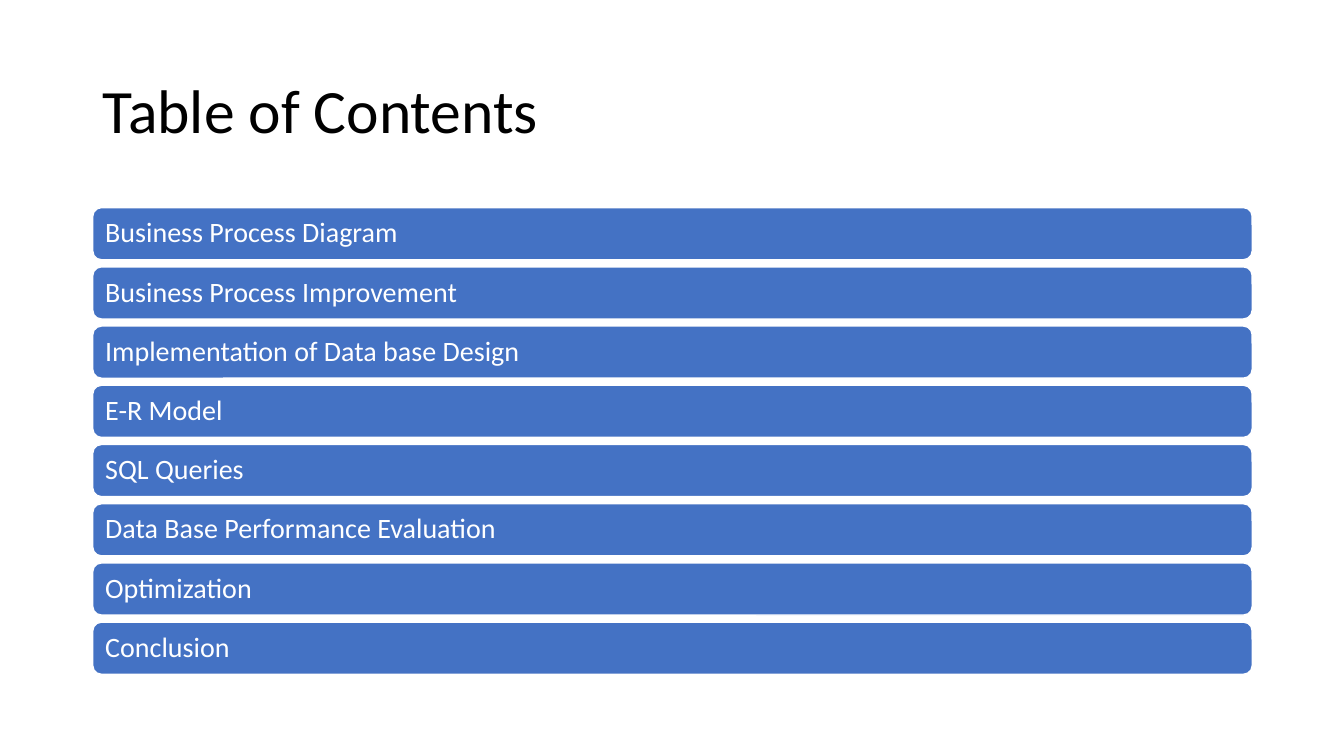
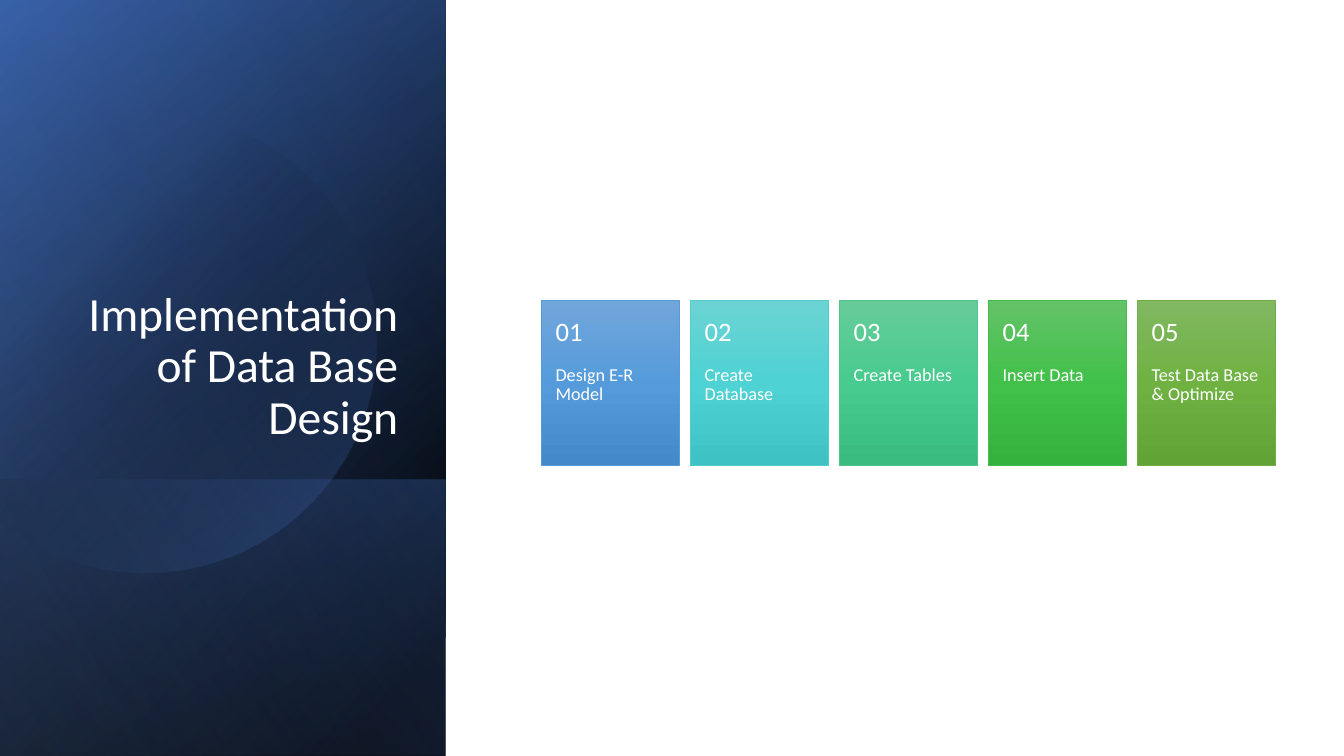
from dataclasses import dataclass
from math import acos, cos, sin

from lxml.etree import SubElement
from pptx import Presentation
from pptx.dml.color import RGBColor
from pptx.enum.shapes import MSO_SHAPE
from pptx.enum.text import MSO_ANCHOR, MSO_AUTO_SIZE, PP_ALIGN
from pptx.oxml.ns import qn
from pptx.util import Pt

PX = 9144  # EMU; 100 px to the inch
SLIDE_W, SLIDE_H = 1333, 750


@dataclass(frozen=True)
class Theme:
    font: str = "Calibri"
    ink: str = "000000"
    paper: str = "FFFFFF"
    accent: str = "4472C4"
    title_size: int = 44
    side_title_size: int = 34
    bar_size: int = 20
    number_size: int = 19
    label_size: int = 13
    line_spacing: float = 0.9


THEME = Theme()

CONTENTS_TITLE = "Table of Contents"
CONTENTS = [
    "Business Process Diagram",
    "Business Process Improvement",
    "Implementation of Data base Design",
    "E-R Model",
    "SQL Queries",
    "Data Base Performance Evaluation",
    "Optimization",
    "Conclusion",
]

STEPS_TITLE = "Implementation of Data Base Design"
STEPS = [  # label, gradient from top to bottom, border
    ("Design E-R Model", ("71A6DB", "559BDB", "448ACA"), "5B9BD5"),
    ("Create Database", ("6CD3D3", "4ED2D3", "3EC2C3"), "54CCCD"),
    ("Create Tables", ("67CC9A", "47CB8E", "39BB7F"), "4DC58D"),
    ("Insert Data", ("63C368", "42C14A", "34B23D"), "48BB4F"),
    ("Test Data Base & Optimize", ("81B861", "6FB242", "62A336"), "70AD47"),
]

# Gradient stops: position %, colour, opacity %
PANEL_W = 442
BAND_TOP = 476
PANEL_LAYERS = [  # top, clockwise angle, stops
    (0, 220, [(8, THEME.ink, 100), (100, "2F5597", 100)]),
    (0, 240, [(0, THEME.ink, 0), (99, THEME.accent, 46)]),
    (BAND_TOP, 140, [(2, THEME.accent, 29), (100, THEME.ink, 30)]),
]
PANEL_SHEEN = (0, 150, [(0, THEME.ink, 0), (99, "8FAADC", 11)])
DISC = (144, 339, 229)  # centre x, centre y, radius
DISC_STOPS = [(29, THEME.ink, 0), (100, THEME.accent, 43)]


def px(*values):
    return [round(v * PX) for v in values]


def spread(start, end, count, gap):
    """Return the start of each of count equal cells, and their size."""
    size = (end - start - gap * (count - 1)) / count
    return [start + i * (size + gap) for i in range(count)], size


def set_margins(tf, left, top, right, bottom):
    tf.margin_left, tf.margin_top, tf.margin_right, tf.margin_bottom = px(
        left, top, right, bottom)


def style(p, size, color, align=PP_ALIGN.LEFT):
    p.alignment = align
    p.line_spacing = THEME.line_spacing
    for r in p.runs:
        r.font.name = THEME.font
        r.font.size = Pt(size)
        r.font.color.rgb = RGBColor.from_string(color)


def set_line(sp, color=None, width=1):
    if color is None:
        sp.line.fill.background()
    else:
        sp.line.color.rgb = RGBColor.from_string(color)
        sp.line.width = Pt(width)


def set_gradient(sp, angle, stops):
    """Fill with a linear gradient; the angle runs clockwise from the right."""
    sp.fill.gradient()
    sp.fill.gradient_angle = (360 - angle) % 360
    gs_list = sp.element.spPr.find(qn("a:gradFill")).find(qn("a:gsLst"))
    for gs in list(gs_list):
        gs_list.remove(gs)
    for position, color, opacity in stops:
        gs = SubElement(gs_list, qn("a:gs"), pos=str(position * 1000))
        clr = SubElement(gs, qn("a:srgbClr"), val=color)
        if opacity < 100:
            SubElement(clr, qn("a:alpha"), val=str(opacity * 1000))


def add_box(slide, kind, *box):
    sp = slide.shapes.add_shape(kind, *px(*box))
    sp.shadow.inherit = False
    return sp


def add_slide(prs, title, box, size, color, anchor, align=PP_ALIGN.LEFT):
    slide = prs.slides.add_slide(prs.slide_layouts[5])
    sp = slide.shapes.title
    sp.left, sp.top, sp.width, sp.height = px(*box)
    tf = sp.text_frame
    tf.text = title
    tf.word_wrap = True
    tf.auto_size = MSO_AUTO_SIZE.NONE
    tf.vertical_anchor = anchor
    style(tf.paragraphs[0], size, color, align)
    return slide


def add_contents_slide(prs):
    slide = add_slide(prs, CONTENTS_TITLE, (92, 40, 1150, 145),
                      THEME.title_size, THEME.ink, MSO_ANCHOR.MIDDLE)
    tops, height = spread(206, 669, len(CONTENTS), gap=7)
    for top, text in zip(tops, CONTENTS):
        bar = add_box(slide, MSO_SHAPE.ROUNDED_RECTANGLE, 92, top, 1150, height)
        bar.fill.solid()
        bar.fill.fore_color.rgb = RGBColor.from_string(THEME.accent)
        set_line(bar, THEME.paper)
        tf = bar.text_frame
        tf.text = text
        tf.vertical_anchor = MSO_ANCHOR.MIDDLE
        set_margins(tf, 10, 8, 10, 8)
        style(tf.paragraphs[0], THEME.bar_size, THEME.paper)


def add_panel_layer(slide, top, angle, stops):
    layer = add_box(slide, MSO_SHAPE.RECTANGLE, 0, top, PANEL_W, SLIDE_H - top)
    set_gradient(layer, angle, stops)
    set_line(layer)


def add_disc(slide):
    """Draw the circle, cut off at the left edge of the slide."""
    cx, cy, radius = DISC
    reach = acos(-cx / radius)
    count = 90
    angles = [reach * (2 * i / count - 1) for i in range(count + 1)]
    points = [px(cx + radius * cos(a), cy + radius * sin(a)) for a in angles]
    builder = slide.shapes.build_freeform(*points[0])
    builder.add_line_segments(points[1:], close=True)
    disc = builder.convert_to_shape()
    disc.shadow.inherit = False
    set_gradient(disc, 45, DISC_STOPS)
    set_line(disc)


def add_step_card(slide, left, width, number, step):
    label, colors, border = step
    card = add_box(slide, MSO_SHAPE.RECTANGLE, left, 298, width, 164)
    set_gradient(card, 90, [(i * 50, c, 100) for i, c in enumerate(colors)])
    set_line(card, border, 0.5)
    tf = card.text_frame
    tf.text = f"{number:02}\n{label}"
    tf.word_wrap = True
    tf.vertical_anchor = MSO_ANCHOR.TOP
    set_margins(tf, 14, 18, 14, 18)
    heading, body = tf.paragraphs
    style(heading, THEME.number_size, THEME.paper)
    style(body, THEME.label_size, THEME.paper)
    body.space_before = Pt(13)


def add_steps_slide(prs):
    slide = add_slide(prs, STEPS_TITLE, (64, 184, 341, 262),
                      THEME.side_title_size, THEME.paper,
                      MSO_ANCHOR.BOTTOM, PP_ALIGN.RIGHT)
    for layer in PANEL_LAYERS:
        add_panel_layer(slide, *layer)
    add_disc(slide)
    add_panel_layer(slide, *PANEL_SHEEN)
    title = slide.shapes.title.element
    title.getparent().append(title)  # bring the title in front of the panel
    lefts, width = spread(537, 1265, len(STEPS), gap=11)
    for number, (left, step) in enumerate(zip(lefts, STEPS), 1):
        add_step_card(slide, left, width, number, step)


def main():
    prs = Presentation()
    prs.slide_width, prs.slide_height = px(SLIDE_W, SLIDE_H)
    add_contents_slide(prs)
    add_steps_slide(prs)
    prs.save("out.pptx")


if __name__ == "__main__":
    main()
